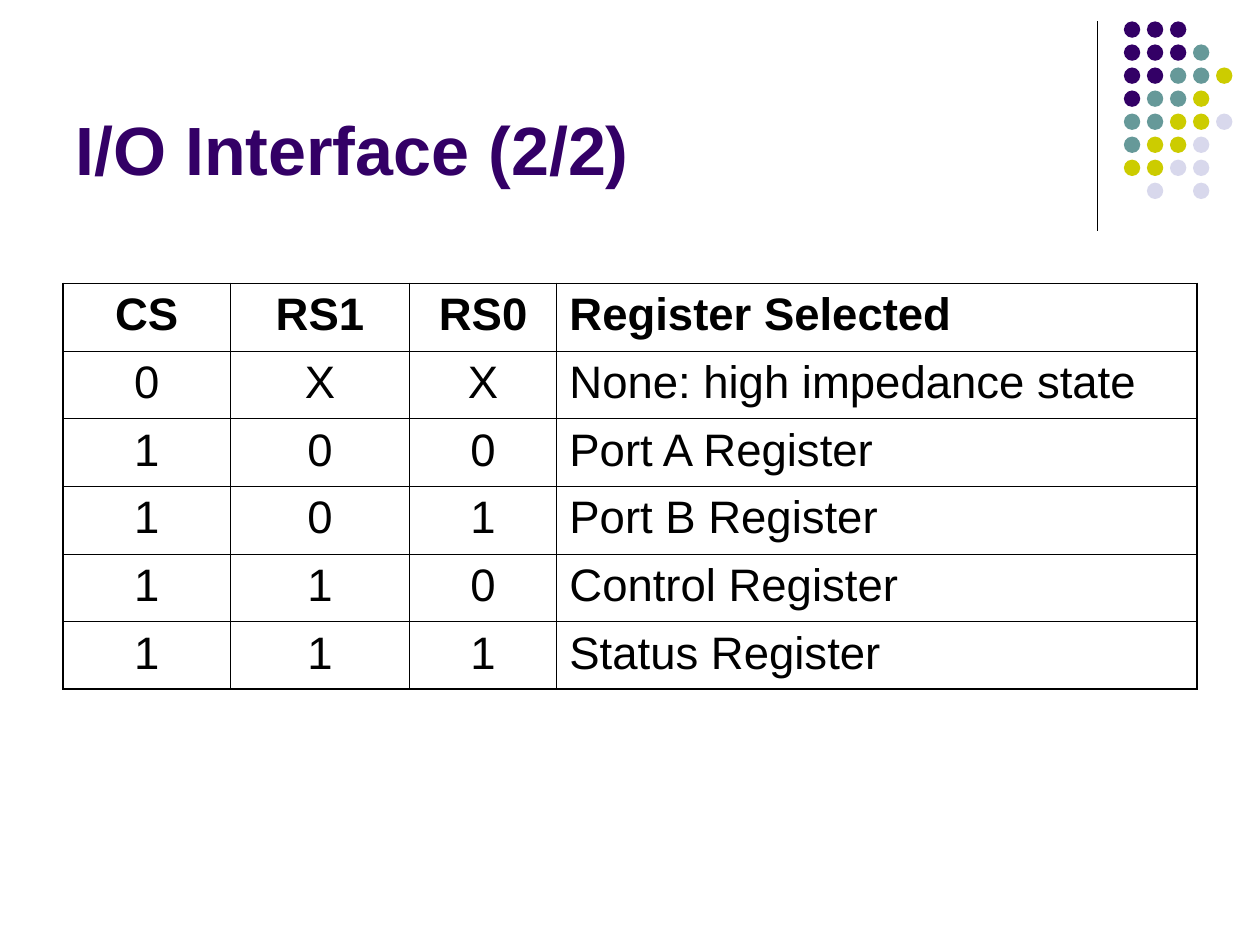
"""Build the I/O Interface slide with its register selection table."""
from lxml.etree import SubElement
from pptx import Presentation
from pptx.dml.color import RGBColor
from pptx.enum.shapes import MSO_CONNECTOR, MSO_SHAPE
from pptx.enum.text import MSO_ANCHOR, PP_ALIGN
from pptx.oxml.ns import qn
from pptx.util import Inches, Pt

COLORS = {
    "purple": "330066",
    "teal": "669999",
    "olive": "CCCC00",
    "lavender": "D8D8EC",
    "black": "000000",
}
DOT_COLORS = {"P": "purple", "T": "teal", "O": "olive", "L": "lavender"}
DOT_ROWS = ["PPP", "PPPT", "PPTTO", "PTTO", "TTOOL", "TOOL", "OOLL", " L L"]
REGISTERS = [
    ["CS", "RS1", "RS0", "Register Selected"],
    ["0", "X", "X", "None: high impedance state"],
    ["1", "0", "0", "Port A Register"],
    ["1", "0", "1", "Port B Register"],
    ["1", "1", "0", "Control Register"],
    ["1", "1", "1", "Status Register"],
]
COLUMN_WIDTHS = [1.33, 1.42, 1.17, 5.08]


def style_text(paragraph, size, color, bold):
    font = paragraph.runs[0].font
    font.name = "Arial"
    font.size = Pt(size)
    font.bold = bold
    font.color.rgb = RGBColor.from_string(COLORS[color])


def add_border(cell, side, width):
    border = SubElement(cell._tc.get_or_add_tcPr(), qn(f"a:{side}"), w=str(Pt(width)))
    fill = SubElement(border, qn("a:solidFill"))
    SubElement(fill, qn("a:srgbClr"), val=COLORS["black"])


prs = Presentation()
prs.slide_width = Inches(10)
prs.slide_height = Inches(7.5)
slide = prs.slides.add_slide(prs.slide_layouts[6])

divider = slide.shapes.add_connector(
    MSO_CONNECTOR.STRAIGHT, Inches(8.71), Inches(0.17), Inches(8.71), Inches(1.83)
)
divider.line.color.rgb = RGBColor.from_string(COLORS["black"])
divider.line.width = Pt(0.75)
SubElement(divider._element.spPr, qn("a:effectLst"))

dot_size = Inches(0.13)
dot_pitch = Inches(1.28) // 7
for row, codes in enumerate(DOT_ROWS):
    for column, code in enumerate(codes):
        if code == " ":
            continue
        dot = slide.shapes.add_shape(
            MSO_SHAPE.OVAL,
            Inches(8.92) + column * dot_pitch,
            Inches(0.17) + row * dot_pitch,
            dot_size,
            dot_size,
        )
        dot.shadow.inherit = False
        dot.fill.solid()
        dot.fill.fore_color.rgb = RGBColor.from_string(COLORS[DOT_COLORS[code]])
        dot.line.fill.background()

title = slide.shapes.add_textbox(Inches(0.5), Inches(0.13), Inches(8.25), Inches(1.42))
title.text_frame.word_wrap = True
title.text_frame.vertical_anchor = MSO_ANCHOR.BOTTOM
title.text_frame.text = "I/O Interface (2/2)"
style_text(title.text_frame.paragraphs[0], 39, "purple", True)

last_row = len(REGISTERS) - 1
last_column = len(COLUMN_WIDTHS) - 1
register_table = slide.shapes.add_table(
    len(REGISTERS), len(COLUMN_WIDTHS), Inches(0.5), Inches(2.25), Inches(9), Inches(3.22)
).table
for column, width in zip(register_table.columns, COLUMN_WIDTHS):
    column.width = Inches(width)

for row, values in enumerate(REGISTERS):
    for column, value in enumerate(values):
        cell = register_table.cell(row, column)
        cell.text_frame.text = value
        paragraph = cell.text_frame.paragraphs[0]
        paragraph.alignment = PP_ALIGN.LEFT if column == last_column else PP_ALIGN.CENTER
        style_text(paragraph, 26, "black", row == 0)
        outer_sides = {
            "lnL": column == 0,
            "lnR": column == last_column,
            "lnT": row == 0,
            "lnB": row == last_row,
        }
        for side, is_outer in outer_sides.items():
            add_border(cell, side, 1.08 if is_outer else 0.45)
        cell.fill.background()

prs.save("out.pptx")
